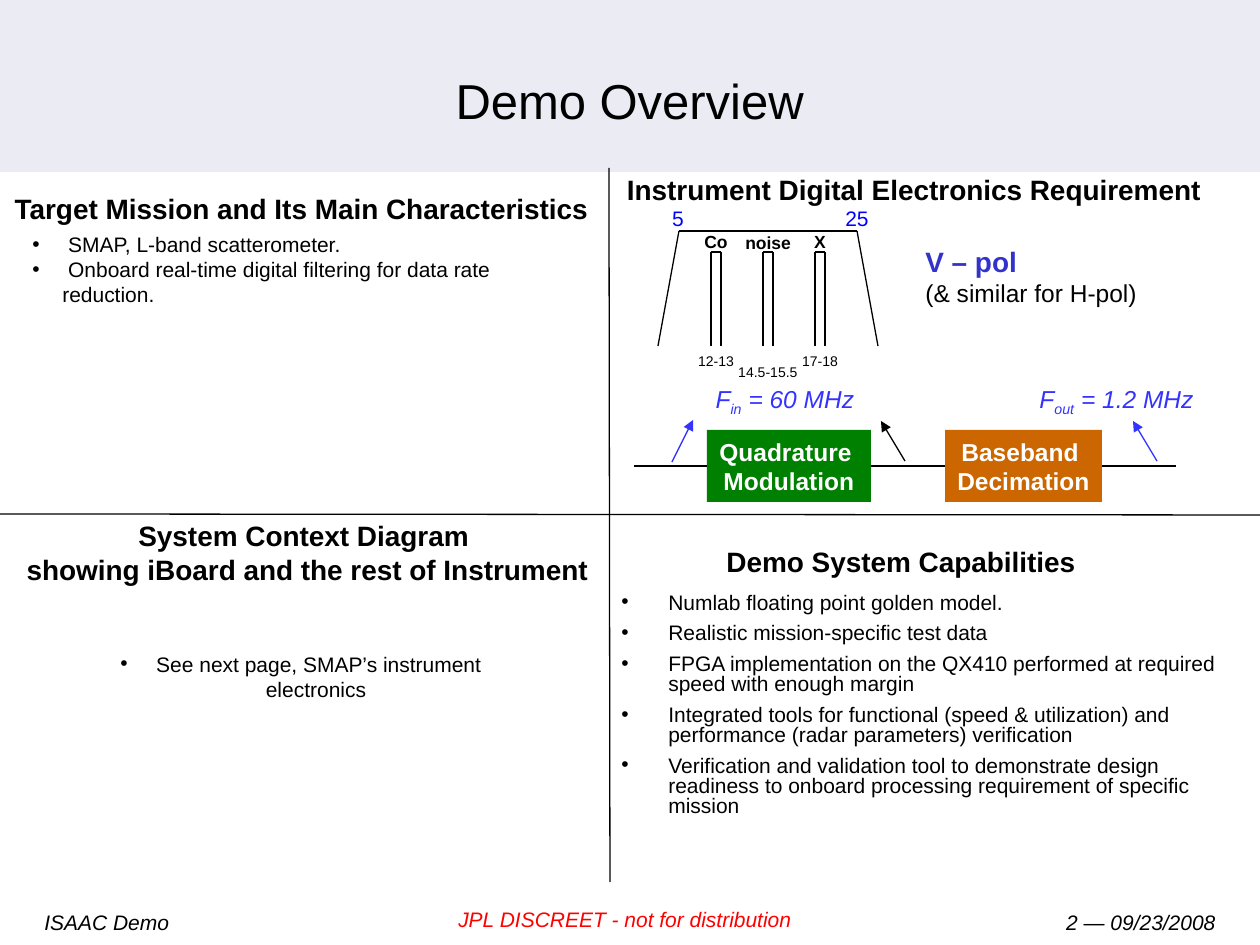
"""Build the four-quadrant Demo Overview slide."""
from lxml import etree
from pptx import Presentation
from pptx.dml.color import RGBColor
from pptx.enum.shapes import MSO_CONNECTOR, MSO_SHAPE
from pptx.enum.text import MSO_ANCHOR, PP_ALIGN
from pptx.oxml.ns import qn
from pptx.util import Emu, Pt

LEFT, CENTER, RIGHT = PP_ALIGN.LEFT, PP_ALIGN.CENTER, PP_ALIGN.RIGHT
TOP, MIDDLE = MSO_ANCHOR.TOP, MSO_ANCHOR.MIDDLE
STRAIGHT, RECT = MSO_CONNECTOR.STRAIGHT, MSO_SHAPE.RECTANGLE
EMU_PER_PX = 914400 / 126
FONT = "Arial"
COLORS = {"black": "000000", "white": "FFFFFF", "band": "EBEBF3", "red": "FF0000",
          "blue": "0000FF", "signal": "3333FF", "pol": "3333CC",
          "green": "008000", "orange": "CC6600"}

HEADINGS = [
    (1, 185, 601, 47, ["Target Mission and Its Main Characteristics"]),
    (614, 166, 600, 47, ["Instrument Digital Electronics Requirement"]),
    (14, 512, 587, 81, ["System Context Diagram ",
                        "showing iBoard and the rest of Instrument"]),
    (701, 538, 400, 47, ["Demo System Capabilities"]),
]
MISSION = [" SMAP, L-band scatterometer.",
           " Onboard real-time digital filtering for data rate reduction."]
CONTEXT = [" See next page, SMAP’s instrument electronics"]
CAPABILITIES = [
    "Numlab floating point golden model.",
    "Realistic mission-specific test data",
    "FPGA implementation on the QX410 performed at required speed with enough margin",
    "Integrated tools for functional (speed & utilization) and performance "
    "(radar parameters) verification",
    "Verification and validation tool to demonstrate design readiness to onboard "
    "processing requirement of specific mission",
]
FOOTERS = [
    (32, 903, 262, 42, LEFT, "black", [("ISAAC Demo", {"italic": True})]),
    (441, 900, 368, 38, CENTER, "red",
     [("JPL DISCREET - not for distribution", {"italic": True})]),
    (966, 903, 262, 42, RIGHT, "black",
     [("2", {"italic": True}), (" —", {}), (" 09/23/2008", {"italic": True})]),
]
BAND_EDGES = [(678, "5"), (857, "25")]
FILTERS = [("Co", 225, "12-13", 346), ("noise", 226, "14.5-15.5", 357),
           ("X", 225, "17-18", 346)]
FILTER_X, FILTER_STEP, FILTER_W = 711, 52, 10
FILTER_TOP, FILTER_BOTTOM, BAND_TOP = 252, 346, 231
RATES = [(703, 164, CENTER, "in", " = 60 MHz"), (1027, 200, LEFT, "out", " = 1.2 MHz")]
STAGES = [(707, 164, "green", ["Quadrature ", "Modulation"]),
          (945, 157, "orange", ["Baseband ", "Decimation"])]
FLOW_START, FLOW_END, FLOW_Y = 634, 1176, 466
ARROWS = [(1157, 461, 1133, 421, "signal"), (905, 461, 881, 421, "black"),
          (672, 462, 693, 420, "signal")]

prs = Presentation()
prs.slide_width, prs.slide_height = Emu(9144000), Emu(6858000)
s = prs.slides.add_slide(prs.slide_layouts[6])


def px(n):
    return Emu(round(n * EMU_PER_PX))


def rgb(name):
    return RGBColor.from_string(COLORS[name])


def fill_text(sp, paras, size, color="black", align=LEFT, anchor=TOP, wrap=False, bold=False):
    tf = sp.text_frame
    tf.word_wrap, tf.vertical_anchor = wrap, anchor
    for i, runs in enumerate(paras):
        p = tf.add_paragraph() if i else tf.paragraphs[0]
        p.alignment = align
        for text, style in [(runs, {})] if isinstance(runs, str) else runs:
            r = p.add_run()
            r.text = text
            r.font.name, r.font.size = FONT, Pt(style.get("size", size))
            r.font.bold, r.font.italic = style.get("bold", bold), style.get("italic", False)
            r.font.color.rgb = rgb(style.get("color", color))
            if "base" in style:
                r._r.get_or_add_rPr().set("baseline", str(style["base"] * 1000))
    return tf


def add_text(x, y, w, h, paras, size, **style):
    return fill_text(s.shapes.add_textbox(px(x), px(y), px(w), px(h)), paras, size, **style)


def add_bullets(x, y, w, h, items, indent, spacing=None, before=0, align=LEFT):
    tf = add_text(x, y, w, h, items, 12, align=align, wrap=True)
    for i, p in enumerate(tf.paragraphs):
        pPr = p._p.get_or_add_pPr()
        pPr.set("marL", str(px(indent)))
        pPr.set("indent", str(-px(indent)))
        etree.SubElement(pPr, qn("a:buFont"), typeface=FONT)
        etree.SubElement(pPr, qn("a:buChar"), char="•")
        if spacing:
            p.line_spacing = spacing
        if i and before:
            p.space_before = Pt(before)


def add_rect(x, y, w, h, color):
    sp = s.shapes.add_shape(RECT, px(x), px(y), px(w), px(h))
    sp.shadow.inherit = False
    sp.fill.solid()
    sp.fill.fore_color.rgb = rgb(color)
    sp.line.fill.background()
    return sp


def add_line(x1, y1, x2, y2, color="black", arrow=False):
    ln = s.shapes.add_connector(STRAIGHT, px(x1), px(y1), px(x2), px(y2))
    ln.line.color.rgb, ln.line.width = rgb(color), Pt(0.75)
    if arrow:
        etree.SubElement(ln.line._get_or_add_ln(), qn("a:tailEnd"), type="triangle")
    etree.SubElement(ln._element.spPr, qn("a:effectLst"))


add_rect(0, 0, 1260, 172, "band")
for x, y, w, h, align, color, runs in FOOTERS:
    add_text(x, y, w, h, [runs], 12, color=color, align=align, wrap=True)
add_text(199, 21, 861, 158, ["Demo Overview"], 28, align=CENTER, anchor=MIDDLE)

add_line(0, 514, 1260, 515)
add_line(609, 168, 610, 882)
for x, y, w, h, lines in HEADINGS:
    add_text(x, y, w, h, lines, 16, align=CENTER, anchor=MIDDLE, bold=True)
add_bullets(20, 225, 564, 63, MISSION, 30)
add_bullets(66, 645, 470, 38, CONTEXT, 30, align=CENTER)
add_bullets(609, 588, 620, 294, CAPABILITIES, 47, spacing=0.8, before=6)

for x, label in BAND_EDGES:
    add_text(x - 40, 199, 80, 38, [label], 12, color="blue", align=CENTER)
(band_l, _), (band_r, _) = BAND_EDGES
add_line(band_l - 20, FILTER_BOTTOM, band_l + 1, BAND_TOP)
add_line(band_l + 1, BAND_TOP, band_r, BAND_TOP)
add_line(band_r + 21, FILTER_BOTTOM, band_r, BAND_TOP)
for i, (name, name_y, freq, freq_y) in enumerate(FILTERS):
    left = FILTER_X + i * FILTER_STEP
    right, mid = left + FILTER_W, left + FILTER_W // 2
    for x in (left, right):
        add_line(x, FILTER_BOTTOM, x, FILTER_TOP)
    add_line(left, FILTER_TOP, right, FILTER_TOP)
    add_text(mid - 40, name_y, 80, 34, [name], 10, align=CENTER, bold=True)
    add_text(mid - 47, freq_y, 94, 30, [freq], 8, align=CENTER)

add_text(913, 238, 260, 76, [[("V – pol", {"size": 16, "color": "pol", "bold": True})],
                             "(& similar for H-pol)"], 14, wrap=True)
for x, w, align, sub, value in RATES:
    runs = [("F", {"italic": True}), (sub, {"italic": True, "base": -25}),
            (value, {"italic": True})]
    add_text(x, 378, w, 47, [runs], 14, color="signal", align=align, wrap=align == LEFT)

flow_x = FLOW_START
for x, w, color, lines in STAGES:
    fill_text(add_rect(x, 430, w, 72, color), lines, 14, color="white",
              align=CENTER, anchor=MIDDLE, bold=True)
    add_line(flow_x, FLOW_Y, x, FLOW_Y)
    flow_x = x + w
add_line(flow_x, FLOW_Y, FLOW_END, FLOW_Y)
for x1, y1, x2, y2, color in ARROWS:
    add_line(x1, y1, x2, y2, color, arrow=True)

prs.save("out.pptx")
